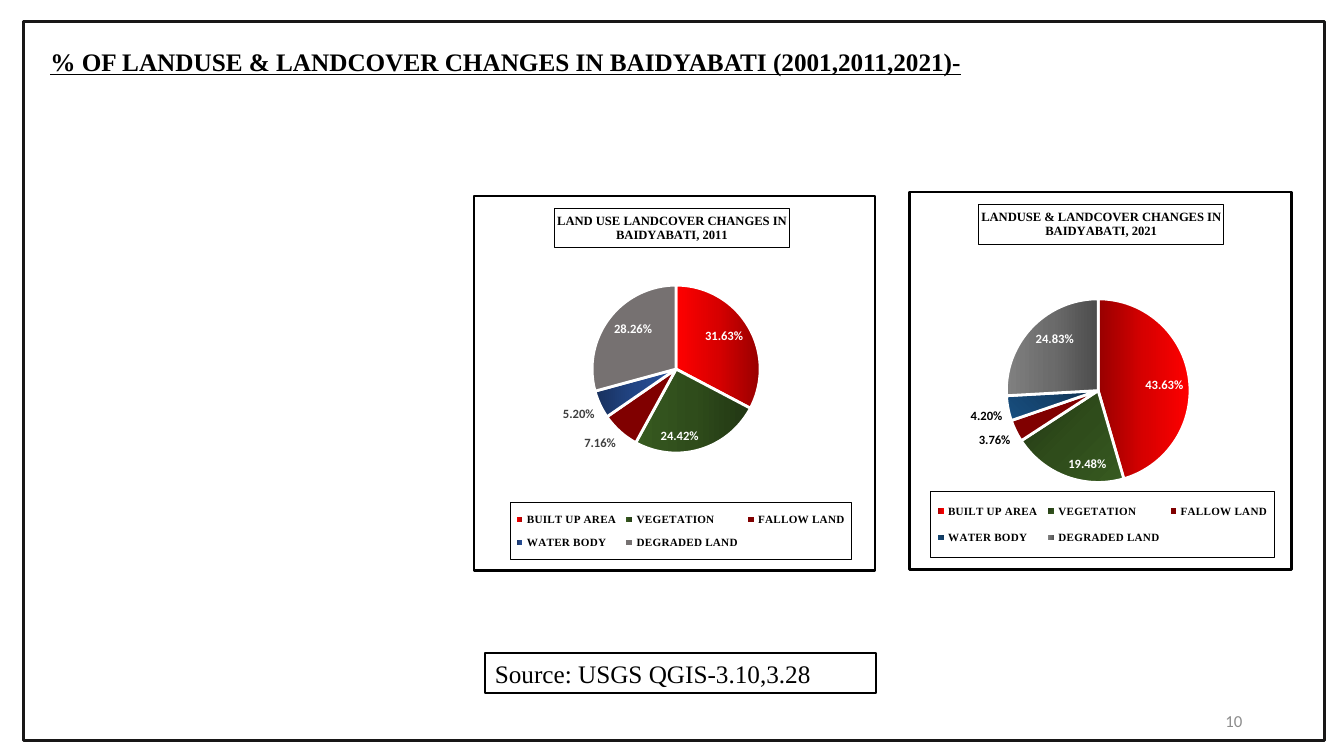
from pptx import Presentation
from pptx.chart.data import CategoryChartData
from pptx.dml.color import RGBColor
from pptx.enum.chart import XL_CHART_TYPE, XL_LABEL_POSITION as Pos, XL_LEGEND_POSITION
from pptx.enum.shapes import MSO_SHAPE
from pptx.enum.text import MSO_ANCHOR, MSO_AUTO_SIZE, PP_ALIGN
from pptx.oxml import parse_xml
from pptx.oxml.ns import nsdecls
from pptx.util import Inches, Pt

BLACK = RGBColor(0, 0, 0)
WHITE = RGBColor(255, 255, 255)
FRAME = RGBColor(0x18, 0x17, 0x17)
PAGE_GRAY = RGBColor(0x8C, 0x8C, 0x8C)
LABEL_GRAY = RGBColor(0x40, 0x40, 0x40)
MAROON = RGBColor(0x80, 0, 0)
GRAY = RGBColor(0x76, 0x71, 0x71)
REDS = [RGBColor(0x97, 0, 0), RGBColor(0xD7, 0, 0), RGBColor(0xFF, 0, 0)]
GREENS = [RGBColor(0x21, 0x36, 0x13), RGBColor(0x2F, 0x4C, 0x1B), RGBColor(0x37, 0x5A, 0x20)]
BLUES = [RGBColor(0x18, 0x31, 0x5E), RGBColor(0x22, 0x45, 0x85), RGBColor(0x28, 0x52, 0x9E)]
TEALS = [RGBColor(0x0E, 0x2F, 0x4C), RGBColor(0x14, 0x42, 0x6C), RGBColor(0x18, 0x4F, 0x80)]
GRAYS = [RGBColor(0x4C, 0x4C, 0x4C), RGBColor(0x6B, 0x6B, 0x6B), RGBColor(0x80, 0x80, 0x80)]

SERIF, SANS = "Times New Roman", "Calibri"
LAND_TYPES = ["BUILT UP AREA", "VEGETATION", "FALLOW LAND", "WATER BODY", "DEGRADED LAND"]
SMALL_SHARE = 0.1  # slices below this carry their label outside


def set_font(font, size, color, name=SERIF, bold=False):
    font.size, font.name, font.bold = Pt(size), name, bold
    font.color.rgb = color


def add_run(p, text, size, color, name=SERIF, bold=False):
    r = p.add_run()
    r.text = text
    set_font(r.font, size, color, name, bold)
    return r


def add_box(slide, box, color, width):
    s = slide.shapes.add_shape(MSO_SHAPE.RECTANGLE, *map(Inches, box))
    s.shadow.inherit = False
    s.fill.background()
    s.line.color.rgb = color
    s.line.width = Pt(width)
    return s


def add_heading(slide, text):
    title = slide.shapes.title
    title.left, title.top, title.width, title.height = map(Inches, (0.4, 0.39, 9.31, 0.41))
    tf = title.text_frame
    tf.word_wrap = True
    tf.auto_size = MSO_AUTO_SIZE.NONE
    tf.vertical_anchor = MSO_ANCHOR.TOP
    p = tf.paragraphs[0]
    p.alignment = PP_ALIGN.JUSTIFY
    p.line_spacing = 1.07
    add_run(p, text, 18, BLACK, bold=True).font.underline = True


def add_source(slide, text):
    tf = add_box(slide, (4.81, 6.48, 3.88, 0.4), BLACK, 1.5).text_frame
    tf.word_wrap = True
    tf.vertical_anchor = MSO_ANCHOR.TOP
    p = tf.paragraphs[0]
    p.alignment = PP_ALIGN.LEFT
    add_run(p, text, 18, BLACK)


def add_page_number(slide, text):
    tf = slide.shapes.add_textbox(*map(Inches, (9.42, 6.95, 3, 0.4))).text_frame
    tf.word_wrap = True
    tf.vertical_anchor = MSO_ANCHOR.MIDDLE
    p = tf.paragraphs[0]
    p.alignment = PP_ALIGN.RIGHT
    add_run(p, text, 12, PAGE_GRAY, SANS)


def set_layout(successor, x, y, w=None, h=None, inner=False):
    """Give the parent of successor a manual layout in fractions of the chart."""
    parent = successor.getparent()
    for old in parent.xpath("c:layout"):
        parent.remove(old)
    parts = '<c:layoutTarget val="inner"/>' if inner else ""
    parts += '<c:xMode val="edge"/><c:yMode val="edge"/>'
    parts += "".join(f'<c:{tag} val="{val}"/>'
                     for tag, val in zip("xywh", (x, y, w, h)) if val is not None)
    successor.addprevious(parse_xml(
        f'<c:layout {nsdecls("c")}><c:manualLayout>{parts}</c:manualLayout></c:layout>'))


def add_border(predecessor, width):
    predecessor.addnext(parse_xml(
        f'<c:spPr {nsdecls("c", "a")}><a:solidFill><a:srgbClr val="{WHITE}"/></a:solidFill>'
        f'<a:ln w="{Pt(width)}"><a:solidFill><a:srgbClr val="{BLACK}"/></a:solidFill></a:ln>'
        '</c:spPr>'))


def fill_slice(chart, point, paint):
    """Paint is a colour, or a list of three stops with a counter-clockwise angle."""
    fill = point.format.fill
    if isinstance(paint, RGBColor):
        fill.solid()
        fill.fore_color.rgb = paint
        return
    colors, angle = paint
    fill.gradient()
    fill.gradient_angle = angle
    stops = chart.element.xpath(".//c:dPt//a:gsLst")[-1]
    gs = "".join(f'<a:gs pos="{i * 50000}"><a:srgbClr val="{color}"/></a:gs>'
                 for i, color in enumerate(colors))
    stops.getparent().replace(stops, parse_xml(f'<a:gsLst {nsdecls("a")}>{gs}</a:gsLst>'))


def add_chart_title(chart, lines, x, y):
    title = chart.chart_title
    tf = title.text_frame
    for i, line in enumerate(lines):
        p = tf.add_paragraph() if i else tf.paragraphs[0]
        p.alignment = PP_ALIGN.CENTER
        add_run(p, line, 9, BLACK, bold=True)
    title.include_in_layout = False
    title.format.line.color.rgb = BLACK
    title.format.line.width = Pt(0.75)
    set_layout(chart.element.xpath(".//c:title/c:overlay")[0], x, y)


def add_chart_legend(chart, layout):
    chart.has_legend = True
    legend = chart.legend
    legend.position = XL_LEGEND_POSITION.BOTTOM
    legend.include_in_layout = False
    set_font(legend.font, 8, BLACK, bold=True)
    overlay = chart.element.xpath(".//c:legend/c:overlay")[0]
    set_layout(overlay, *layout)
    add_border(overlay, 0.75)


def add_pie(slide, box, title, title_at, shares, paints, plot, legend, outer_color):
    data = CategoryChartData(number_format="0.00%")
    data.categories = LAND_TYPES
    data.add_series("Series 1", shares)
    chart = slide.shapes.add_chart(XL_CHART_TYPE.PIE, *map(Inches, box), data).chart
    set_font(chart.font, 10, BLACK, SANS, True)
    add_border(chart.element.xpath("c:chart")[0], 1.5)
    add_chart_title(chart, title, *title_at)
    add_chart_legend(chart, legend)
    set_layout(chart.element.xpath(".//c:pieChart")[0], *plot, inner=True)

    pie = chart.plots[0]
    pie.vary_by_categories = True
    series = pie.series[0]
    labels = series.data_labels
    labels.show_value = True
    labels.number_format = "0.00%"
    labels.number_format_is_linked = False
    for i, (share, paint) in enumerate(zip(shares, paints)):
        point = series.points[i]
        fill_slice(chart, point, paint)
        point.format.line.color.rgb = WHITE
        point.format.line.width = Pt(2)
        small = share < SMALL_SHARE
        label = point.data_label
        set_font(label.font, 9, outer_color if small else WHITE, SANS, True)
        label.position = Pos.OUTSIDE_END if small else Pos.INSIDE_END


def main():
    prs = Presentation()
    prs.slide_width, prs.slide_height = Inches(13.33), Inches(7.5)
    slide = prs.slides.add_slide(prs.slide_layouts[5])
    add_page_number(slide, "10")
    add_box(slide, (0.23, 0.21, 12.91, 7.14), FRAME, 2.25)
    add_heading(slide, "% OF LANDUSE & LANDCOVER CHANGES IN BAIDYABATI (2001,2011,2021)-")
    add_pie(slide, (4.69, 1.93, 4, 3.74),
            ["LAND USE LANDCOVER CHANGES IN", "BAIDYABATI, 2011"], (0.2, 0.035),
            [0.3163, 0.2442, 0.0716, 0.052, 0.2826],
            [(REDS, 180), (GREENS, 180), MAROON, (BLUES, 0), GRAY],
            plot=(0.114, 0.239, 0.78, 0.448), legend=(0.09, 0.82, 0.85, 0.15),
            outer_color=LABEL_GRAY)
    add_pie(slide, (9.01, 1.89, 3.81, 3.77),
            ["LANDUSE & LANDCOVER CHANGES IN", "BAIDYABATI, 2021"], (0.18, 0.035),
            [0.4363, 0.1948, 0.0376, 0.042, 0.2483],
            [(REDS, 0), (GREENS, 315), MAROON, (TEALS, 225), (GRAYS, 180)],
            plot=(0.057, 0.284, 0.874, 0.486), legend=(0.055, 0.793, 0.9, 0.175),
            outer_color=BLACK)
    add_source(slide, "Source: USGS QGIS-3.10,3.28")
    prs.save("out.pptx")


if __name__ == "__main__":
    main()
